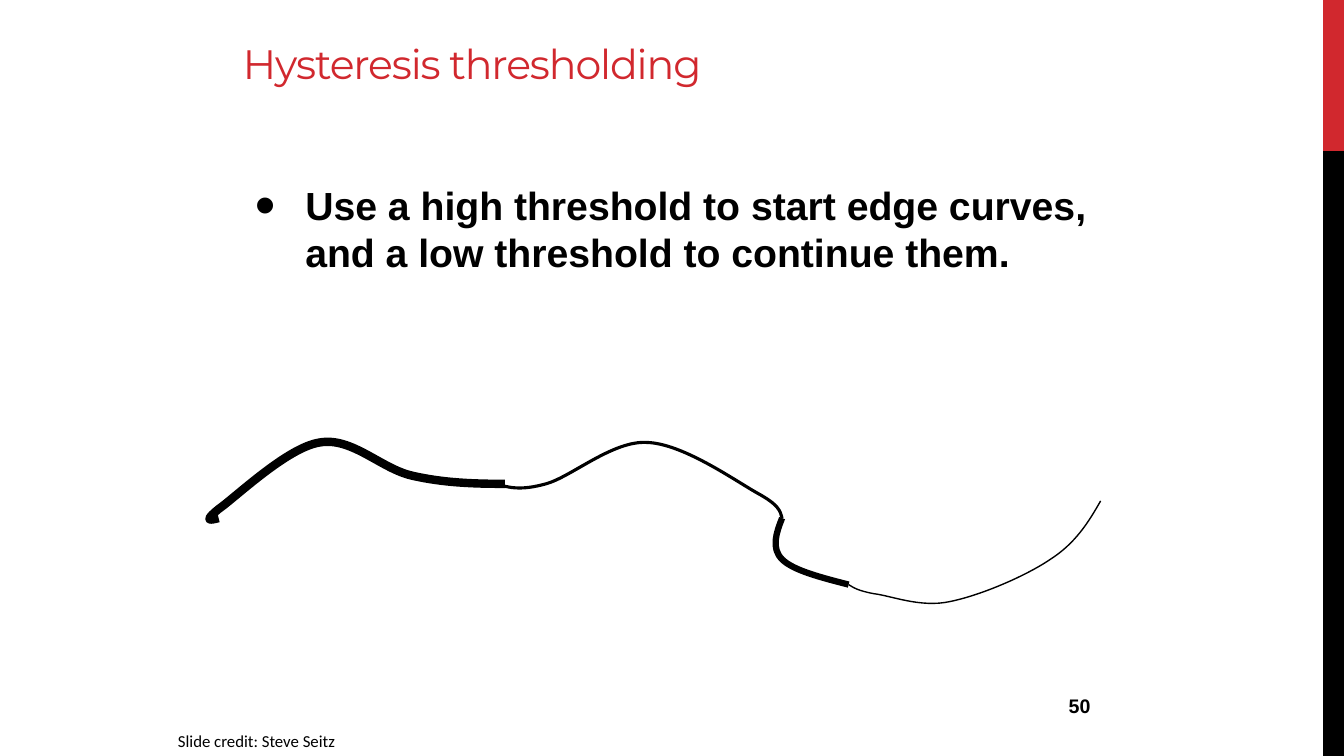
import pptx
import pptx.util
import pptx.dml.color
import pptx.enum.shapes
import pptx.enum.text
import pptx.oxml.ns
from lxml import etree

Pt = pptx.util.Pt
ALIGN = pptx.enum.text.PP_ALIGN
ANCHOR = pptx.enum.text.MSO_ANCHOR
COLORS = {"accent": "D1282E", "ink": "000000", "paper": "FFFFFF"}

TITLE = "Hysteresis thresholding"
POINT = "Use a high threshold to start edge curves, and a low threshold to continue them."
NUMBER = "50"
CREDIT = "Slide credit: Steve Seitz"

SIDEBAR = [("accent", 0, 108), ("ink", 108, 432)]  # colour, top, height

# Line weight, then a start point followed by triples of Bezier points
CURVES = [
    (6, [(156.2, 370.1),
         (150.5, 371.5), (144.7, 373), (156.2, 363.6),
         (168.5, 355), (205.2, 319.7), (228.2, 316.1),
         (251.3, 311.8), (272.2, 334.8), (294.5, 339.8),
         (316.8, 344.9), (338.4, 345.6), (360.7, 345.6)]),
    (2.25, [(354.2, 345.6),
            (363.6, 348.5), (372.2, 350.6), (390.2, 345.6),
            (408.2, 340.6), (437.8, 314.6), (462.2, 316.1),
            (487.4, 316.8), (524.2, 342.7), (540.7, 352.1),
            (556.6, 360.7), (557.3, 365), (558.7, 370.1)]),
    (4.5, [(558.7, 370.1),
           (554.4, 380.9), (550.8, 391.7), (558.7, 399.6),
           (566.6, 407.5), (586.8, 412.6), (606.2, 417.6)]),
    (1, [(606.2, 417.6),
         (609.8, 419.8), (612.7, 421.9), (624.2, 424.1),
         (636.5, 425.5), (657.4, 434.2), (678.2, 429.8),
         (699.8, 425.5), (732.2, 411.8), (750.2, 399.6),
         (768.2, 388.1), (777.6, 373), (786.2, 357.8)]),
]


def rgb(name):
    return pptx.dml.color.RGBColor.from_string(COLORS[name])


def add_text(slide, text, box, *, size, font, color="ink", bold=False, align=ALIGN.LEFT,
             anchor=ANCHOR.TOP, fill=None, bullet=False, tracking=None, spacing=None):
    sp = slide.shapes.add_textbox(*map(Pt, box))
    if fill:
        sp.fill.solid()
        sp.fill.fore_color.rgb = rgb(fill)
    tf = sp.text_frame
    tf.word_wrap = True
    tf.vertical_anchor = anchor
    p = tf.paragraphs[0]
    p.alignment = align
    if spacing:
        p.line_spacing = spacing
    if bullet:
        pPr = p._p.get_or_add_pPr()
        pPr.set("marL", str(Pt(36)))
        pPr.set("indent", str(-Pt(36)))
        for tag, attr, value in (("a:buSzPct", "val", "150000"),
                                 ("a:buFont", "typeface", font),
                                 ("a:buChar", "char", "•")):
            etree.SubElement(pPr, pptx.oxml.ns.qn(tag)).set(attr, value)
    r = p.add_run()
    r.text = text
    r.font.size, r.font.name, r.font.bold = Pt(size), font, bold
    r.font.color.rgb = rgb(color)
    if tracking:
        r._r.get_or_add_rPr().set("spc", str(round(tracking * 100)))


def add_curve(slide, weight, points):
    """Draw a freeform through the points, then turn each three segments into one Bezier."""
    points = [(Pt(x), Pt(y)) for x, y in points]
    builder = slide.shapes.build_freeform(*points[0])
    builder.add_line_segments(points[1:], close=False)
    sp = builder.convert_to_shape()
    sp.shadow.inherit = False
    sp.fill.background()
    sp.line.color.rgb = rgb("ink")
    sp.line.width = Pt(weight)
    qn = pptx.oxml.ns.qn
    outline = sp._element.find(".//" + qn("a:path"))
    segments = outline.findall(qn("a:lnTo"))
    for i in range(0, len(segments), 3):
        bezier = etree.SubElement(outline, qn("a:cubicBezTo"))
        for segment in segments[i:i + 3]:
            bezier.append(segment[0])
            outline.remove(segment)


def main():
    prs = pptx.Presentation()
    prs.slide_width, prs.slide_height = Pt(960), Pt(540)
    s = prs.slides.add_slide(prs.slide_layouts[6])

    for color, top, height in SIDEBAR:
        sp = s.shapes.add_shape(pptx.enum.shapes.MSO_SHAPE.RECTANGLE,
                                Pt(945), Pt(top), Pt(15), Pt(height))
        sp.shadow.inherit = False
        sp.fill.solid()
        sp.fill.fore_color.rgb = rgb(color)
        sp.line.fill.background()

    add_text(s, TITLE, (166.5, 0, 612, 90), size=29.3, font="Montserrat",
             color="accent", anchor=ANCHOR.MIDDLE, tracking=-0.8)
    add_text(s, POINT, (175, 126, 612, 324), size=28, font="Arial", bold=True, bullet=True)
    for weight, points in CURVES:
        add_curve(s, weight, points)
    add_text(s, NUMBER, (636, 492, 150, 36), size=14, font="Arial", bold=True, align=ALIGN.RIGHT)
    add_text(s, CREDIT, (120, 518.4, 156, 21.6), size=12, font="Calibri", fill="paper")

    prs.save("out.pptx")


if __name__ == "__main__":
    main()
